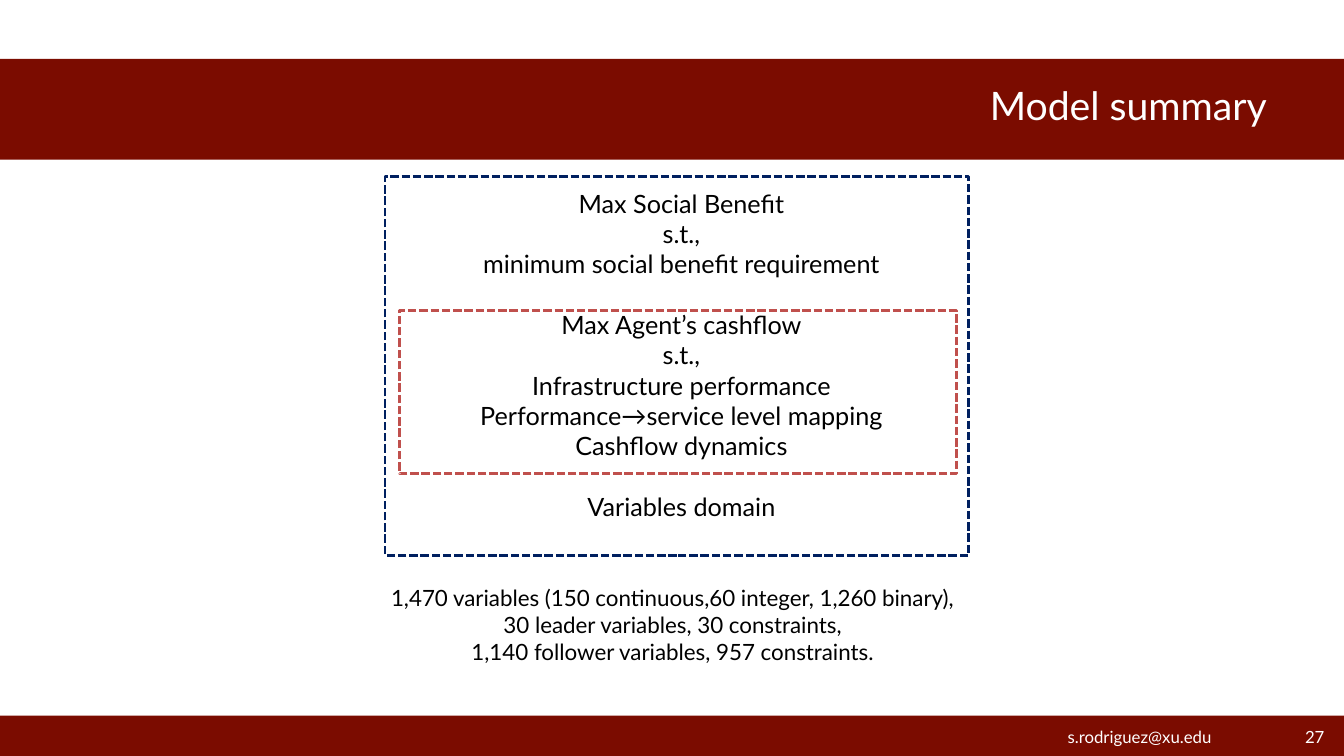
import pptx
import pptx.dml.color
import pptx.enum.dml
import pptx.enum.shapes
import pptx.enum.text
import pptx.util

Pt = pptx.util.Pt
RGBColor = pptx.dml.color.RGBColor
ALIGN = pptx.enum.text.PP_ALIGN
ANCHOR = pptx.enum.text.MSO_ANCHOR

CRIMSON = RGBColor(0x7B, 0x0C, 0x00)
NAVY = RGBColor(0x00, 0x20, 0x60)
RED = RGBColor(0xC0, 0x50, 0x4D)
WHITE = RGBColor(0xFF, 0xFF, 0xFF)
BLACK = RGBColor(0x00, 0x00, 0x00)
FONT = "Lato"
SLIDE_W, SLIDE_H = 960, 540

TITLE = "Model summary"
MODEL = [  # one list for each part of the bilevel model
    ["Max Social Benefit", "s.t.,", "minimum social benefit requirement"],
    ["Max Agent’s cashflow", "s.t.,", "Infrastructure performance",
     "Performance→service level mapping", "Cashflow dynamics"],
    ["Variables domain"],
]
MODEL_SIZE, PART_GAP = 18, 21.7
PROBLEM_SIZE = [[
    "1,470 variables (150 continuous,60 integer, 1,260 binary),",
    "30 leader variables, 30 constraints,",
    "1,140 follower variables, 957 constraints.",
]]
EMAIL = "s.rodriguez@xu.edu"
PAGE = "27"

# left, top, width, height
BANDS = [(0, 42, SLIDE_W, 72), (0, 511.2, SLIDE_W, SLIDE_H - 511.2)]
LEVELS = [((275, 126, 417, 270.7), NAVY), ((285.1, 221.8, 398.2, 116.6), RED)]


def write(shape, parts, size, color=BLACK, align=ALIGN.CENTER,
          anchor=ANCHOR.TOP, gap=0):
    """Fill a shape with parts (lists of lines), a gap before each later part."""
    frame = shape.text_frame
    frame.word_wrap = True
    frame.vertical_anchor = anchor
    frame.text = "\n".join(line for part in parts for line in part)
    part_starts = [sum(map(len, parts[:n])) for n in range(1, len(parts))]
    for n, paragraph in enumerate(frame.paragraphs):
        paragraph.alignment = align
        paragraph.space_before = Pt(gap if n in part_starts else 0)
        font = paragraph.runs[0].font
        font.name, font.size, font.color.rgb = FONT, Pt(size), color


def add_rectangle(slide, box):
    rectangle = slide.shapes.add_shape(
        pptx.enum.shapes.MSO_SHAPE.RECTANGLE, *map(Pt, box))
    rectangle.shadow.inherit = False
    return rectangle


def add_text(slide, box, parts, size, **form):
    write(slide.shapes.add_textbox(*map(Pt, box)), parts, size, **form)


def main():
    deck = pptx.Presentation()
    deck.slide_width, deck.slide_height = Pt(SLIDE_W), Pt(SLIDE_H)
    slide = deck.slides.add_slide(deck.slide_layouts[5])

    for box in BANDS:
        band = add_rectangle(slide, box)
        band.fill.solid()
        band.fill.fore_color.rgb = CRIMSON
        band.line.fill.background()

    title = slide.shapes.title
    title.left, title.top, title.width, title.height = map(Pt, (48, 54, 864, 42))
    write(title, [[TITLE]], 28, color=WHITE, align=ALIGN.RIGHT,
          anchor=ANCHOR.MIDDLE)
    slide.shapes._spTree.append(title._element)  # in front of the band

    for box, color in LEVELS:
        level = add_rectangle(slide, box)
        level.fill.background()
        level.line.color.rgb = color
        level.line.width = Pt(2)
        level.line.dash_style = pptx.enum.dml.MSO_LINE.SQUARE_DOT

    add_text(slide, (247, 131, 479.5, 247), MODEL, MODEL_SIZE, gap=PART_GAP)
    add_text(slide, (240.5, 414, 480, 85), PROBLEM_SIZE, 16)
    add_text(slide, (731.5, 512, 165, 28.8), [[EMAIL]], 12, color=WHITE,
             anchor=ANCHOR.MIDDLE)
    add_text(slide, (912.2, 513.4, 41, 26), [[PAGE]], 12, color=WHITE,
             align=ALIGN.RIGHT, anchor=ANCHOR.MIDDLE)

    deck.save("out.pptx")


if __name__ == "__main__":
    main()
